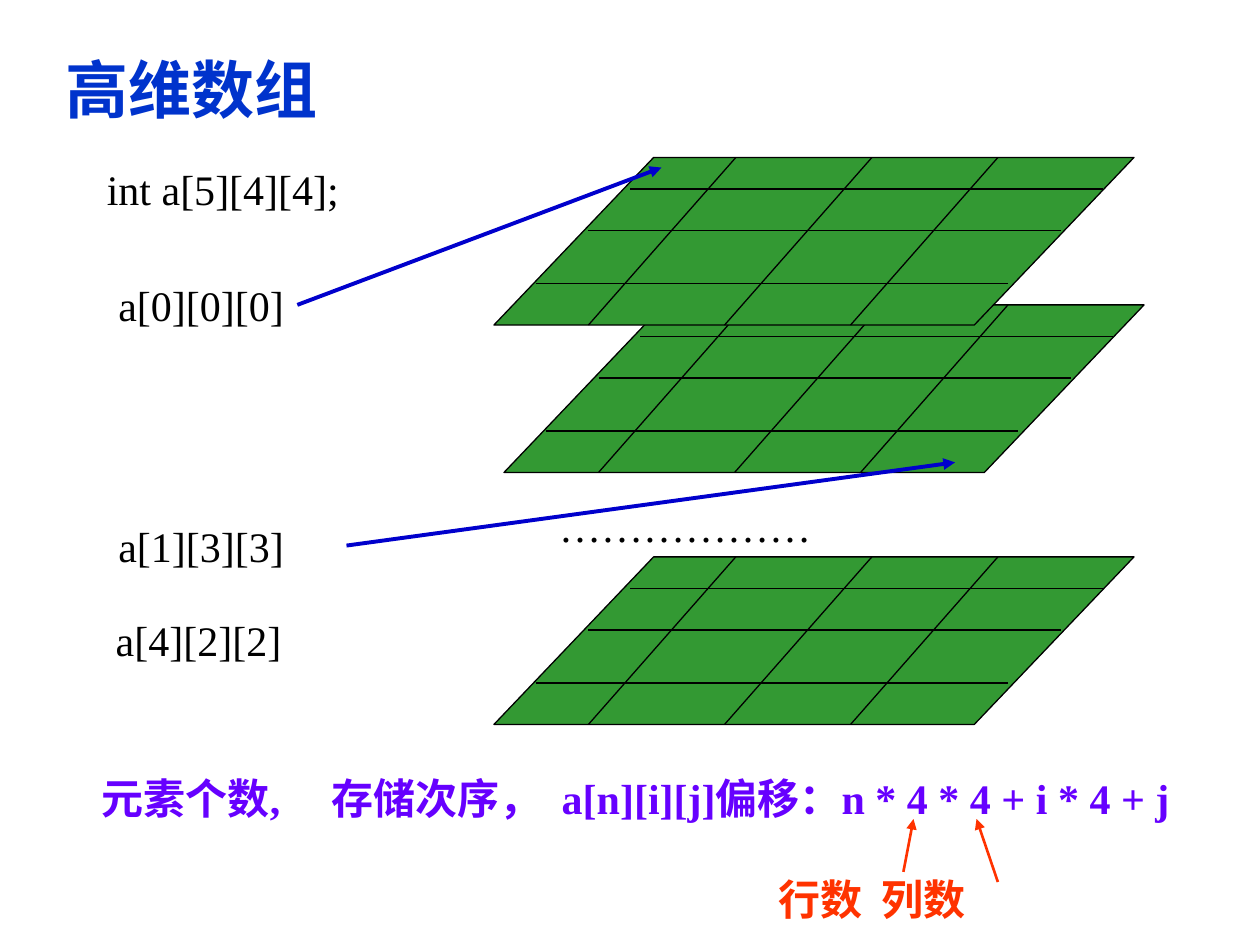
from dataclasses import dataclass

from lxml import etree
from pptx import Presentation
from pptx import util as u
from pptx.dml.color import RGBColor
from pptx.enum import shapes, text
from pptx.oxml import ns

I = u.Inches


@dataclass(frozen=True)
class Theme:
    """Colours, fonts and type sizes of the slide."""
    title: str = "0033CC"
    ink: str = "000000"
    plane: str = "339933"
    pointer: str = "0000CC"
    formula: str = "6600FF"
    note: str = "FF3300"
    latin: str = "Times New Roman"
    cjk: str = "Noto Sans CJK SC"
    title_size: int = 36
    body_size: int = 24


T = Theme()


def style_font(font, color, size=T.body_size, bold=False, name=T.latin):
    """Set face, size, weight and colour of a font."""
    font.name, font.size, font.bold = name, u.Pt(size), bold
    font.color.rgb = RGBColor.from_string(color)


def add_label(s, box, words, color=T.ink, bold=False, name=T.latin, tabs=(), wrap=False):
    """Place one line of text, with optional tab stops in inches."""
    sp = s.shapes.add_textbox(*map(I, box))
    tf = sp.text_frame
    tf.word_wrap = wrap
    tf.auto_size = text.MSO_AUTO_SIZE.SHAPE_TO_FIT_TEXT
    p = tf.paragraphs[0]
    p.text = words
    if tabs:
        stops = etree.SubElement(p._p.get_or_add_pPr(), ns.qn("a:tabLst"))
        for stop in tabs:
            etree.SubElement(stops, ns.qn("a:tab"), pos=str(I(stop)), algn="l")
    style_font(p.font, color, bold=bold, name=name)
    return sp


def add_line(parent, start, end, color=T.ink, width=0.75, arrow=False):
    """Draw a straight line, with an arrowhead at its end if asked."""
    line = parent.shapes.add_connector(
        shapes.MSO_CONNECTOR.STRAIGHT, *map(I, (*start, *end)))
    line.line.color.rgb = RGBColor.from_string(color)
    line.line.width = u.Pt(width)
    if arrow:
        etree.SubElement(line.line._get_or_add_ln(), ns.qn("a:tailEnd"), type="triangle")
    etree.SubElement(line._element.spPr, ns.qn("a:effectLst"))
    return line


def add_title(s, box, words):
    """Fill and place the title placeholder."""
    sp = s.shapes.title
    sp.left, sp.top, sp.width, sp.height = map(I, box)
    tf = sp.text_frame
    tf.word_wrap = False
    tf.vertical_anchor = text.MSO_ANCHOR.MIDDLE
    p = tf.paragraphs[0]
    p.text = words
    p.alignment = text.PP_ALIGN.LEFT
    style_font(p.font, T.title, T.title_size, True)


def add_plane(s, box):
    """Draw one slanted 4 by 4 layer of the array."""
    x, y, w, h = box
    group = s.shapes.add_group_shape()
    sp = group.shapes.add_shape(shapes.MSO_SHAPE.PARALLELOGRAM, *map(I, box))
    sp.adjustments[0] = 0.953
    sp.shadow.inherit = False
    sp.fill.solid()
    sp.fill.fore_color.rgb = RGBColor.from_string(T.plane)
    sp.line.color.rgb = RGBColor.from_string(T.ink)
    sp.line.width = u.Pt(0.75)
    for dx, dy in ((1.08, 0.25), (0.75, 0.58), (0.33, 1)):
        add_line(group, (x + dx, y + dy), (x + dx + 3.75, y + dy))
    for dx in (0.75, 1.83, 2.83):
        add_line(group, (x + dx + 1.17, y), (x + dx, y + h))


def add_layers(s, x, y):
    """Stack the array layers with dots for those left out."""
    for dx, dy in ((0.08, 1.17), (0, 0), (0, 3.17)):
        add_plane(s, (x + dx, y + dy, 5.08, 1.33))
    add_label(s, (x + 0.42, y + 2.67, 2.2, 0.5), "………………")


def add_elements(s, x, y):
    """List the declaration and elements, pointing to their cells."""
    add_label(s, (x, y, 2.04, 0.5), "int a[5][4][4];")
    first, _, _ = [
        add_label(s, (x + dx, y + dy, 1.52, 0.5), words)
        for dx, dy, words in ((0.09, 0.92, "a[0][0][0]"),
                              (0.09, 2.83, "a[1][3][3]"),
                              (0.07, 3.58, "a[4][2][2]"))]
    to_first = add_line(s, (2.33, 2.42), (5.25, 1.33), T.pointer, 2.25, True)
    to_first.begin_connect(first, 3)
    add_line(s, (2.75, 4.33), (7.58, 3.67), T.pointer, 2.25, True)


def add_formula(s, x, y):
    """Write the offset formula and mark its row and column counts."""
    add_label(s, (x, y, 9.2, 0.5),
              "元素个数,\t存储次序，\ta[n][i][j]偏移：n * 4 * 4 + i * 4 + j",
              T.formula, True, tabs=(1.82, 3.65), wrap=True)
    add_label(s, (x + 5.37, y + 0.8, 1.8, 0.5), "行数\t列数",
              T.note, True, T.cjk, tabs=(0.82,), wrap=True)
    for start, end in (((6.46, 0.84), (6.54, 0.42)), ((7.21, 0.92), (7.04, 0.42))):
        add_line(s, (x + start[0], y + start[1]), (x + end[0], y + end[1]),
                 T.note, 1.5, True)


def main():
    """Build and save the slide."""
    prs = Presentation()
    prs.slide_width, prs.slide_height = I(10), I(7.5)
    s = prs.slides.add_slide(prs.slide_layouts[5])
    add_title(s, (0.42, 0.33, 3.33, 0.75), "高维数组")
    add_layers(s, 3.92, 1.25)
    add_elements(s, 0.75, 1.25)
    add_formula(s, 0.71, 6.08)
    prs.save("out.pptx")


if __name__ == "__main__":
    main()
